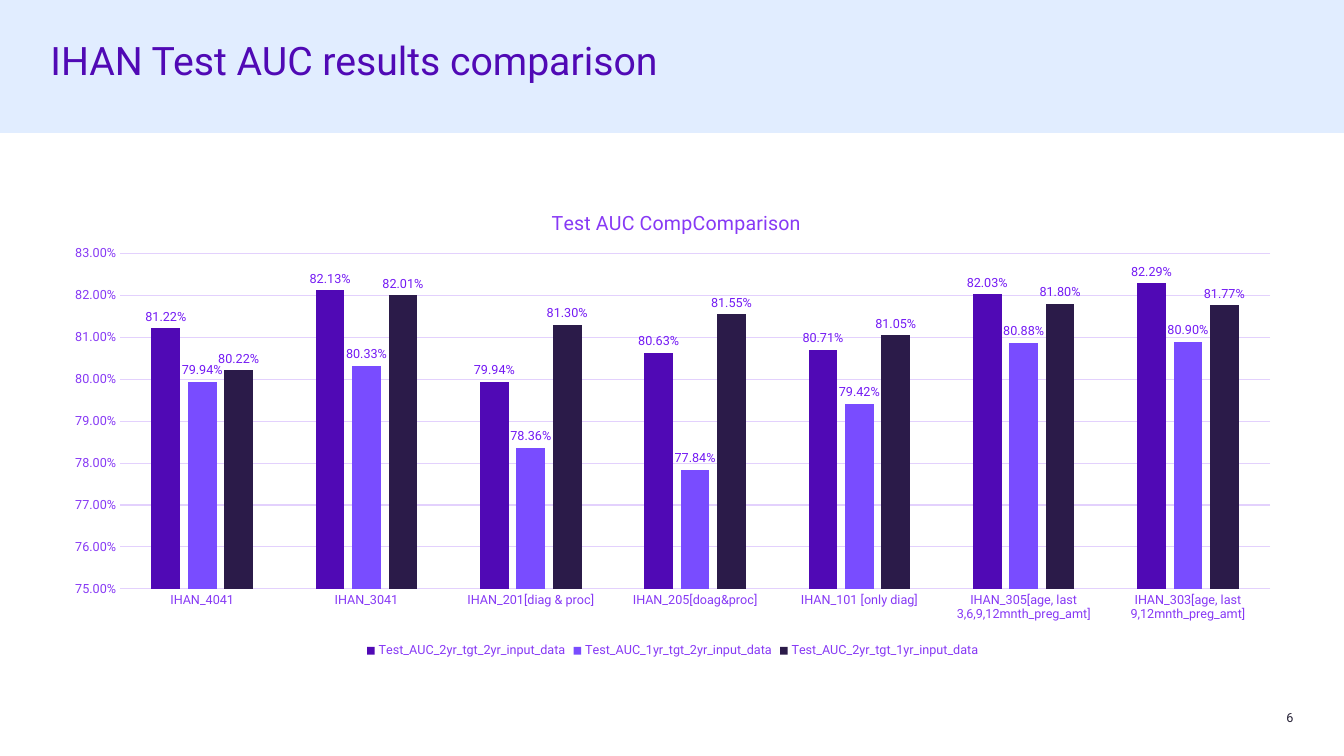
from lxml import etree
from pptx import Presentation
from pptx.chart.data import CategoryChartData
from pptx.dml.color import RGBColor
from pptx.enum.chart import XL_CHART_TYPE as CT, XL_LABEL_POSITION as LP
from pptx.enum.chart import XL_LEGEND_POSITION as LEG, XL_TICK_MARK as TICK
from pptx.enum.shapes import MSO_SHAPE
from pptx.enum.text import MSO_ANCHOR, PP_ALIGN
from pptx.oxml.ns import qn
from pptx.util import Pt

# Content
TITLE = "IHAN Test AUC results comparison"
CHART_TITLE = "Test AUC CompComparison"
PAGE = "6"
CATEGORIES = [
    "IHAN_4041", "IHAN_3041", "IHAN_201[diag & proc]", "IHAN_205[doag&proc]",
    "IHAN_101 [only diag]", "IHAN_305[age, last 3,6,9,12mnth_preg_amt]",
    "IHAN_303[age, last 9,12mnth_preg_amt]",
]
SERIES = [
    ("Test_AUC_2yr_tgt_2yr_input_data", "purple",
     (0.8122, 0.8213, 0.7994, 0.8063, 0.8071, 0.8203, 0.8229)),
    ("Test_AUC_1yr_tgt_2yr_input_data", "violet",
     (0.7994, 0.8033, 0.7836, 0.7784, 0.7942, 0.8088, 0.8090)),
    ("Test_AUC_2yr_tgt_1yr_input_data", "dark",
     (0.8022, 0.8201, 0.8130, 0.8155, 0.8105, 0.8180, 0.8177)),
]
COLORS = {
    "band": "E1EDFF", "purple": "5009B5", "violet": "794CFF", "dark": "2B1B49",
    "axis": "8739F5", "label": "741AF4", "line": "E3D1FD", "page": "231E33",
}
FONT = "Roboto"
PERCENT = "0.00%"


def rgb(name):
    return RGBColor.from_string(COLORS[name])


def style(font, size, color):
    font.name, font.size, font.bold = FONT, Pt(size), False
    font.color.rgb = rgb(color)


def place(sp, left, top, width, height):
    sp.left, sp.top, sp.width, sp.height = map(Pt, (left, top, width, height))


def no_margins(tf):
    tf.margin_left = tf.margin_right = tf.margin_top = tf.margin_bottom = 0
    tf.word_wrap = True


def set_line(line):
    line.color.rgb = rgb("line")
    line.width = Pt(0.75)


def set_layout(parent, before, **values):
    """Fix a chart part's place, as fractions of the chart."""
    for old in parent.findall(qn("c:layout")):
        parent.remove(old)
    layout = etree.Element(qn("c:layout"))
    manual = etree.SubElement(layout, qn("c:manualLayout"))
    for tag, val in values.items():
        etree.SubElement(manual, qn("c:" + tag)).set("val", str(val))
    parent.find(qn(before)).addprevious(layout)


prs = Presentation()
prs.slide_width, prs.slide_height = Pt(960), Pt(540)
s = prs.slides.add_slide(prs.slide_layouts[5])

# Title over its band
title = s.shapes.title
place(title, 36, 30, 888, 65)
tf = title.text_frame
tf.text = TITLE
no_margins(tf)
tf.vertical_anchor = MSO_ANCHOR.TOP
p = tf.paragraphs[0]
p.alignment, p.line_spacing = PP_ALIGN.LEFT, 0.9
style(p.font, 28, "purple")

band = s.shapes.add_shape(MSO_SHAPE.RECTANGLE, 0, 0, prs.slide_width, Pt(95))
band.shadow.inherit = False
band.fill.solid()
band.fill.fore_color.rgb = rgb("band")
band.line.fill.background()
title.element.addprevious(band.element)

# Chart
data = CategoryChartData(number_format=PERCENT)
data.categories = CATEGORIES
for name, _, values in SERIES:
    data.add_series(name, values)
chart = s.shapes.add_chart(CT.COLUMN_CLUSTERED, Pt(36), Pt(133), Pt(889),
                           Pt(340), data).chart
style(chart.font, 10, "purple")
chart.has_title = True
tf = chart.chart_title.text_frame
tf.text = CHART_TITLE
style(tf.paragraphs[0].font, 14, "axis")
chart.has_legend = True
chart.legend.position = LEG.BOTTOM
chart.legend.include_in_layout = False
style(chart.legend.font, 9, "axis")

# Columns and their labels
plot = chart.plots[0]
plot.gap_width, plot.overlap, plot.vary_by_categories = 219, -27, False
for series, (_, color, _) in zip(plot.series, SERIES):
    series.format.fill.solid()
    series.format.fill.fore_color.rgb = rgb(color)
    labels = series.data_labels
    labels.show_value = True
    labels.position = LP.OUTSIDE_END
    labels.number_format, labels.number_format_is_linked = PERCENT, False
    style(labels.font, 9, "label")

# Axes
for axis in (chart.category_axis, chart.value_axis):
    axis.major_tick_mark = axis.minor_tick_mark = TICK.NONE
    style(axis.tick_labels.font, 9, "axis")
set_line(chart.category_axis.format.line)
axis = chart.value_axis
axis.minimum_scale, axis.maximum_scale, axis.major_unit = 0.75, 0.83, 0.01
axis.tick_labels.number_format = PERCENT
axis.tick_labels.number_format_is_linked = False
axis.format.line.fill.background()
axis.has_major_gridlines = True
set_line(axis.major_gridlines.format.line)

# Places of chart title and plot area
set_layout(chart.chart_title.element if hasattr(chart.chart_title, "element")
           else chart.chart_title._element, "c:overlay",
           xMode="edge", yMode="edge", x=0.4, y=0.04)
set_layout(plot._element.getparent(), "c:barChart", layoutTarget="inner",
           xMode="edge", yMode="edge", x=0.056, y=0.142, w=0.924, h=0.704)

# Page number
sp = s.shapes.add_textbox(Pt(894), Pt(507), Pt(30), Pt(11))
tf = sp.text_frame
tf.text = PAGE
no_margins(tf)
tf.vertical_anchor = MSO_ANCHOR.BOTTOM
p = tf.paragraphs[0]
p.alignment = PP_ALIGN.RIGHT
style(p.font, 9, "page")

prs.save("out.pptx")
